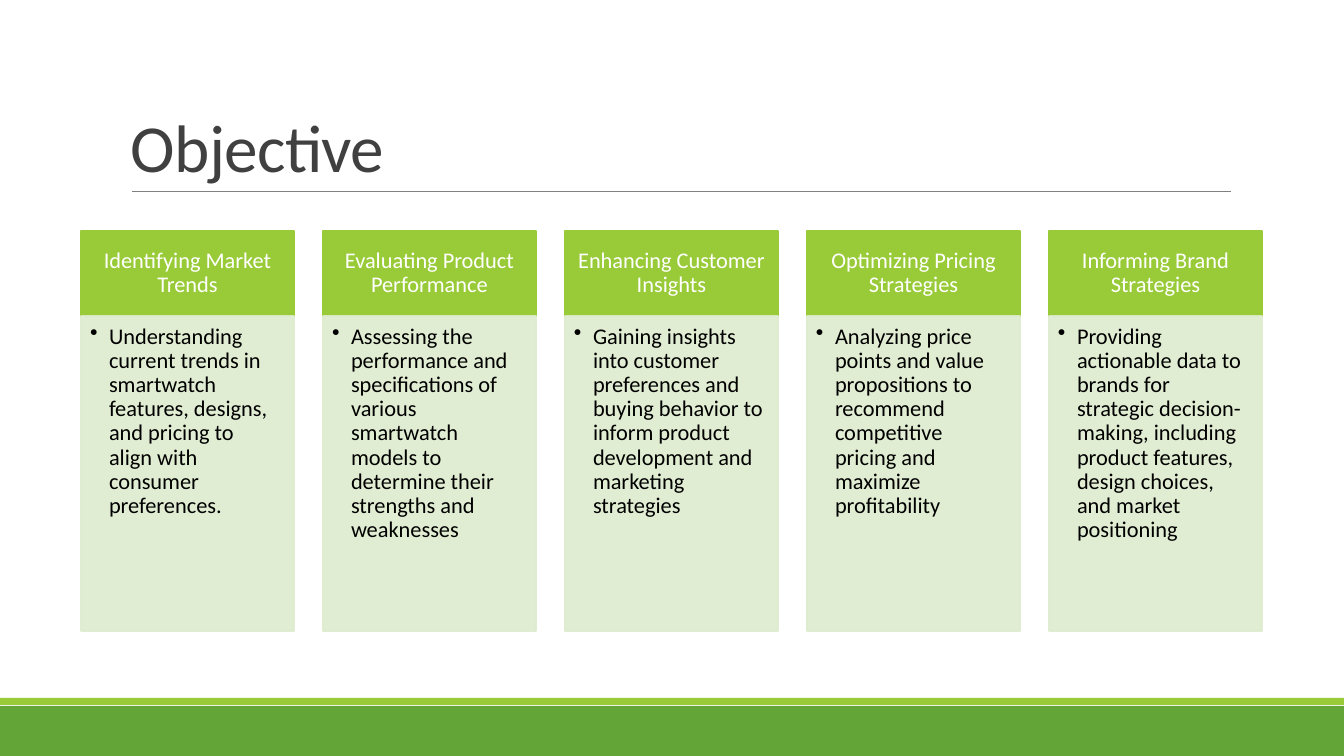
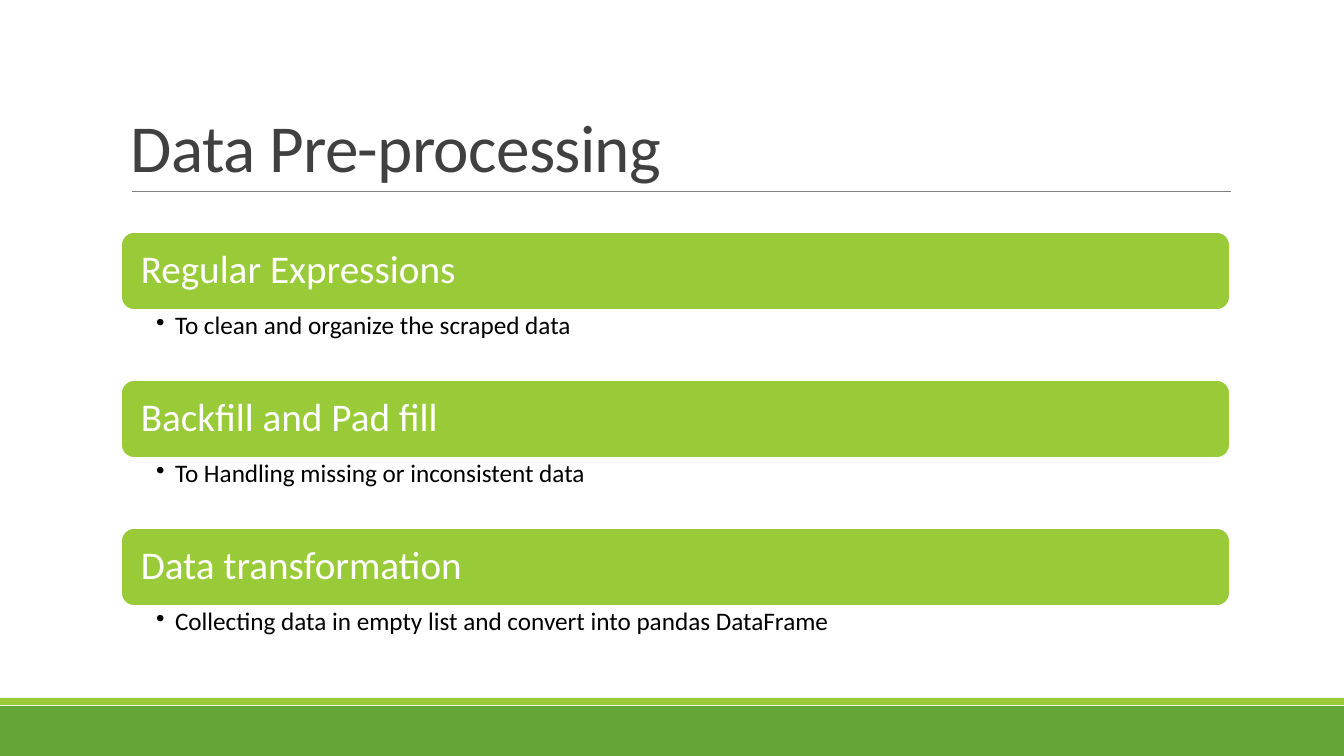
from lxml import etree
from pptx import Presentation
from pptx.dml.color import RGBColor
from pptx.enum.shapes import MSO_CONNECTOR, MSO_SHAPE as SHAPE
from pptx.enum.text import MSO_ANCHOR as ANCHOR, PP_ALIGN as ALIGN
from pptx.oxml.ns import qn
from pptx.util import Pt

WIDTH, HEIGHT = 1344, 756
SCALE = 12192000 / WIDTH
FONT = "Calibri"

GREEN = RGBColor(0x63, 0xA5, 0x37)
LIME = RGBColor(0x99, 0xCB, 0x38)
PALE = RGBColor(0xDE, 0xEC, 0xCE)
GRAY = RGBColor(0x80, 0x80, 0x80)
DARK = RGBColor(0x40, 0x40, 0x40)
WHITE = RGBColor(0xFF, 0xFF, 0xFF)
BLACK = RGBColor(0x00, 0x00, 0x00)

OBJECTIVES = [
    ("Identifying Market Trends",
     "Understanding current trends in smartwatch features, designs, and "
     "pricing to align with consumer preferences."),
    ("Evaluating Product Performance",
     "Assessing the performance and specifications of various smartwatch "
     "models to determine their strengths and weaknesses"),
    ("Enhancing Customer Insights",
     "Gaining insights into customer preferences and buying behavior to "
     "inform product development and marketing strategies"),
    ("Optimizing Pricing Strategies",
     "Analyzing price points and value propositions to recommend "
     "competitive pricing and maximize profitability"),
    ("Informing Brand Strategies",
     "Providing actionable data to brands for strategic decision-making, "
     "including product features, design choices, and market positioning"),
]
STEPS = [
    ("Regular Expressions", "To clean and organize the scraped data"),
    ("Backfill and Pad fill", "To Handling missing or inconsistent data"),
    ("Data transformation",
     "Collecting data in empty list and convert into pandas DataFrame"),
]


def px(n):
    return round(n * SCALE)


class Deck:
    def __init__(self):
        self.prs = Presentation()
        self.prs.slide_width, self.prs.slide_height = px(WIDTH), px(HEIGHT)
        self.s = None

    def slide(self, title):
        """Add a slide with the shared bands, title and rule."""
        self.s = self.prs.slides.add_slide(self.prs.slide_layouts[6])
        self.box(0, 706, WIDTH, 50, GREEN)
        self.box(0, 698, WIDTH, 7, LIME)
        self.rule(132, 191, 1231)
        sp = self.textbox(121, 31, 1109, 160)
        p = self.text(sp, title, 48, DARK, (10, 5, 10, 5), ANCHOR.BOTTOM,
                      spacing=0.85)
        p.runs[0].font._element.set("spc", "-50")

    def box(self, x, y, w, h, fill, line=None, kind=SHAPE.RECTANGLE, alpha=None):
        sp = self.s.shapes.add_shape(kind, px(x), px(y), px(w), px(h))
        sp.shadow.inherit = False
        sp.fill.solid()
        sp.fill.fore_color.rgb = fill
        if line is None:
            sp.line.fill.background()
        else:
            sp.line.color.rgb = line
            sp.line.width = Pt(1.25)
        if alpha:
            for color in sp._element.spPr.iter(qn("a:srgbClr")):
                etree.SubElement(color, qn("a:alpha"), val=str(alpha * 1000))
        return sp

    def textbox(self, x, y, w, h):
        return self.s.shapes.add_textbox(px(x), px(y), px(w), px(h))

    def rule(self, x1, y, x2):
        line = self.s.shapes.add_connector(
            MSO_CONNECTOR.STRAIGHT, px(x1), px(y), px(x2), px(y))
        line.line.color.rgb = GRAY
        line.line.width = Pt(0.5)
        etree.SubElement(line._element.spPr, qn("a:effectLst"))

    def text(self, sp, text, size, color, insets, anchor=ANCHOR.TOP,
             align=ALIGN.LEFT, spacing=0.9):
        tf = sp.text_frame
        tf.word_wrap = True
        tf.vertical_anchor = anchor
        (tf.margin_left, tf.margin_top,
         tf.margin_right, tf.margin_bottom) = map(px, insets)
        p = tf.paragraphs[0]
        p.text = text
        p.alignment = align
        p.line_spacing = spacing
        p.font.name, p.font.size, p.font.color.rgb = FONT, Pt(size), color
        return p

    def bullet(self, sp, text, size, insets):
        p = self.text(sp, text, size, BLACK, insets)
        pPr = p._p.get_or_add_pPr()
        pPr.set("marL", str(px(19)))
        pPr.set("indent", str(-px(19)))
        mark = etree.Element(qn("a:buChar"), char="•")
        pPr.find(qn("a:defRPr")).addprevious(mark)

    def column(self, x, head, body):
        sp = self.box(x, 231, 213, 85, LIME, LIME)
        self.text(sp, head, 16, WHITE, (12, 7, 12, 7), ANCHOR.MIDDLE, ALIGN.CENTER)
        sp = self.box(x, 316, 213, 315, PALE, PALE, alpha=90)
        self.bullet(sp, body, 16, (9, 9, 12, 14))

    def step(self, y, head, body):
        sp = self.box(121, y, 1109, 78, LIME, WHITE, SHAPE.ROUNDED_RECTANGLE)
        self.text(sp, head, 28, WHITE, (16, 16, 16, 16), ANCHOR.MIDDLE)
        self.bullet(self.textbox(121, y + 78, 1109, 70), body, 18, (35, 3, 14, 3))


def main():
    deck = Deck()

    # Objective: five equal columns
    deck.slide("Objective")
    for i, (head, body) in enumerate(OBJECTIVES):
        deck.column(81 + 242 * i, head, body)

    # Data pre-processing: three stacked steps
    deck.slide("Data Pre-processing")
    for i, (head, body) in enumerate(STEPS):
        deck.step(232 + 148 * i, head, body)

    deck.prs.save("out.pptx")


if __name__ == "__main__":
    main()
